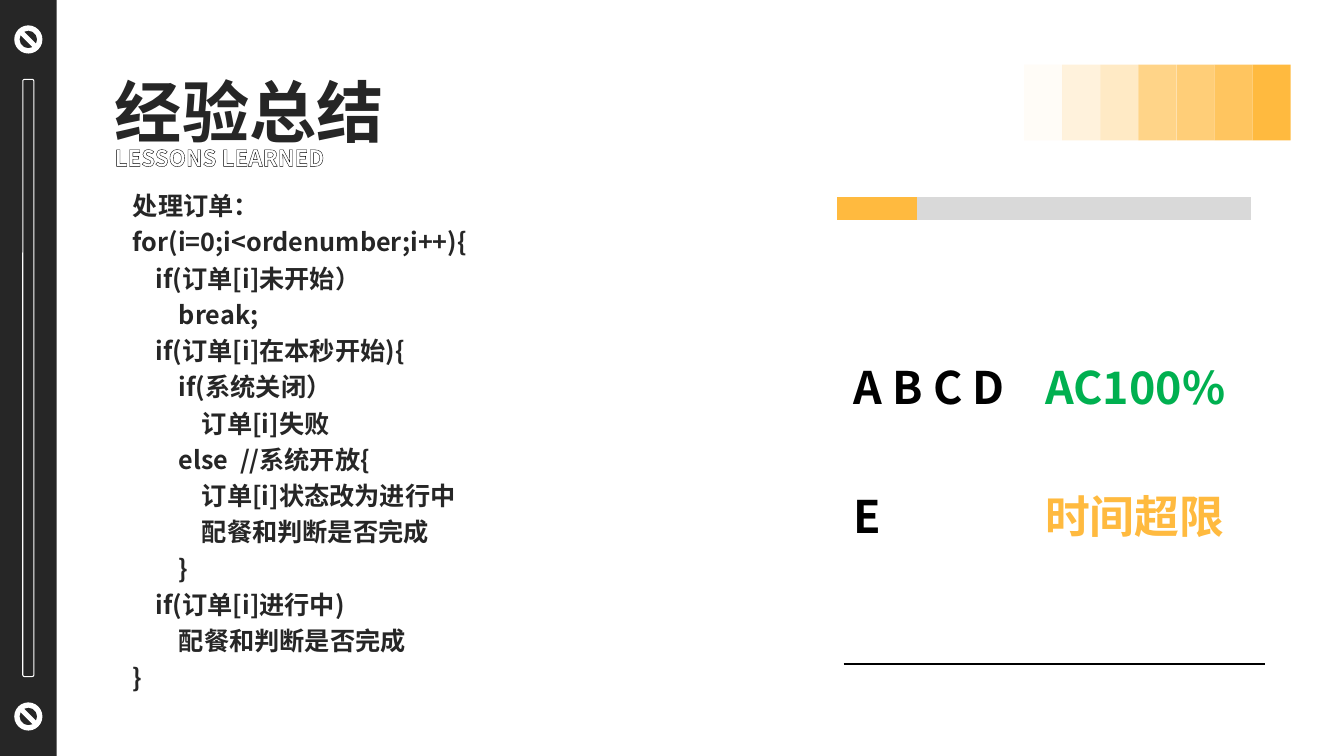
from dataclasses import dataclass

from lxml.etree import SubElement
from pptx import Presentation
from pptx.chart.data import CategoryChartData
from pptx.dml.color import RGBColor
from pptx.enum.chart import XL_CHART_TYPE as CT
from pptx.enum.shapes import MSO_CONNECTOR as CONN, MSO_SHAPE as SHAPE
from pptx.enum.text import MSO_ANCHOR as ANCHOR, MSO_AUTO_SIZE as AUTO, PP_ALIGN as ALIGN
from pptx.oxml import parse_xml
from pptx.oxml.ns import nsdecls, qn
from pptx.util import Cm, Pt


@dataclass(frozen=True)
class Theme:
    font: str = "Noto Sans CJK SC"
    dark: str = "262626"
    amber: str = "FFBA3F"
    green: str = "00B050"
    grey: str = "D9D9D9"
    white: str = "FFFFFF"
    black: str = "000000"
    title: int = 48
    result: int = 32
    code: int = 18
    subtitle: int = 16
    chart: int = 10
    spacing: float = 1.2


T = Theme()

# Indent level and text of each line of the pseudocode
CODE = [
    (0, "处理订单："),
    (0, "for(i=0;i<ordenumber;i++){"),
    (1, "if(订单[i]未开始）"),
    (2, "break;"),
    (1, "if(订单[i]在本秒开始){"),
    (2, "if(系统关闭）"),
    (3, "订单[i]失败"),
    (2, "else  //系统开放{"),
    (3, "订单[i]状态改为进行中"),
    (3, "配餐和判断是否完成"),
    (2, "}"),
    (1, "if(订单[i]进行中)"),
    (2, "配餐和判断是否完成"),
    (0, "}"),
]
RESULTS = [("A B C D", "AC100%", T.green), ("E", "时间超限", T.amber)]
FADE = [4, 18, 30, 62, 70, 83, 100]


def rgb(color):
    return RGBColor.from_string(color)


def add_run(p, text, size, color):
    r = p.add_run()
    r.text = text
    r.font.size, r.font.bold = Pt(size), True
    r.font.color.rgb = rgb(color)
    r.font.name = T.font
    SubElement(r.font._element, qn("a:ea"), typeface=T.font)
    return r


def set_frame(sp, wrap=True):
    tf = sp.text_frame
    tf.word_wrap, tf.auto_size = wrap, AUTO.NONE
    tf.vertical_anchor = ANCHOR.TOP
    return tf


def add_text_box(s, x, y, w, h):
    return set_frame(s.shapes.add_textbox(Cm(x), Cm(y), Cm(w), Cm(h)))


def paragraphs(tf, count):
    for i in range(count):
        p = tf.add_paragraph() if i else tf.paragraphs[0]
        p.line_spacing = T.spacing
        p.space_before = Pt(0)
        yield p


def add_shape(s, kind, x, y, w, h, fill=None, line=None):
    sp = s.shapes.add_shape(kind, Cm(x), Cm(y), Cm(w), Cm(h))
    sp.shadow.inherit = False
    if fill:
        sp.fill.solid()
        sp.fill.fore_color.rgb = rgb(fill)
    else:
        sp.fill.background()
    if line:
        sp.line.color.rgb, sp.line.width = rgb(line), Pt(0.75)
    else:
        sp.line.fill.background()
    return sp


def side_rail(s, x, y, w, h):
    add_shape(s, SHAPE.RECTANGLE, x, y, w, h, T.dark)
    icon, margin, slot = 0.71, 0.64, 0.28
    for top in (y + margin, y + h - margin - icon):
        add_shape(s, SHAPE.NO_SYMBOL, x + (w - icon) / 2, top, icon, icon, T.white)
    add_shape(s, SHAPE.ROUNDED_RECTANGLE, x + (w - slot) / 2, y + 2, slot, h - 4, line=T.white)


def fading_band(s, x, y, w, h):
    step = w / len(FADE)
    for i, opacity in enumerate(FADE):
        sp = add_shape(s, SHAPE.RECTANGLE, x + i * step, y, step, h, T.amber)
        color = sp._element.spPr.find(qn("a:solidFill"))[0]
        SubElement(color, qn("a:alpha"), val=str(opacity * 1000))


def heading(s, x, y, w, h):
    # Title
    title = s.shapes.title
    title.left, title.top, title.width, title.height = Cm(x), Cm(y), Cm(w), Cm(h)
    p = next(paragraphs(set_frame(title, wrap=False), 1))
    p.alignment = ALIGN.LEFT
    add_run(p, "经验总结", T.title, T.dark)
    # Outlined subtitle
    p = next(paragraphs(add_text_box(s, x, y + 2.13, w, 0.94), 1))
    p.alignment = ALIGN.JUSTIFY
    r = add_run(p, "LESSONS LEARNED", T.subtitle, T.white)
    r.font._element.insert(0, parse_xml(
        f'<a:ln {nsdecls("a")} w="9525"><a:solidFill><a:srgbClr val="{T.black}"/></a:solidFill></a:ln>'))


def pseudocode(s, x, y, w, h):
    tf = add_text_box(s, x, y, w, h)
    for p, (level, text) in zip(paragraphs(tf, len(CODE)), CODE):
        p._p.get_or_add_pPr().set("marL", str(Cm(0.58 * level)))
        add_run(p, text, T.code, T.dark)


def progress_chart(s, x, y, w, h):
    data = CategoryChartData()
    data.categories = ["1"]
    data.add_series("Series 1", [24])
    data.add_series("Series 2", [100])
    chart = s.shapes.add_chart(CT.BAR_STACKED, Cm(x), Cm(y), Cm(w), Cm(h), data).chart
    chart.has_legend = chart.has_title = False
    chart.font.name, chart.font.size = T.font, Pt(T.chart)
    chart.font.color.rgb = rgb(T.black)
    chart.value_axis.minimum_scale, chart.value_axis.maximum_scale = 0, 140
    chart.value_axis.has_major_gridlines = False
    chart.category_axis.visible = chart.value_axis.visible = False
    plot = chart.plots[0]
    plot.gap_width, plot.overlap, plot.vary_by_categories = 150, 100, False
    for series, color in zip(plot.series, (T.amber, T.grey)):
        series.format.fill.solid()
        series.format.fill.fore_color.rgb = rgb(color)
    # Fixed plot area
    area = chart._chartSpace.chart.plotArea
    for old in area.findall(qn("c:layout")):
        area.remove(old)
    parts = {"layoutTarget": "inner", "xMode": "edge", "yMode": "edge",
             "x": 0.04, "y": 0.17, "w": 0.96, "h": 0.65}
    layout = parse_xml(f'<c:layout {nsdecls("c")}><c:manualLayout/></c:layout>')
    for name, value in parts.items():
        SubElement(layout[0], qn(f"c:{name}"), val=str(value))
    area.insert(0, layout)


def results(s, x, y, w, h):
    tf = add_text_box(s, x, y, w, h)
    for p, (tests, verdict, color) in zip(paragraphs(tf, len(RESULTS)), RESULTS):
        p.space_after = Pt(46)
        p._p.get_or_add_pPr().append(parse_xml(
            f'<a:tabLst {nsdecls("a")}><a:tab pos="{Cm(4.83)}" algn="l"/></a:tabLst>'))
        add_run(p, tests + "\t", T.result, T.black)
        add_run(p, verdict, T.result, color)
    # Closing rule
    bottom = Cm(y + 8.08)
    line = s.shapes.add_connector(CONN.STRAIGHT, Cm(x), bottom, Cm(x + 10.62), bottom)
    line.line.color.rgb, line.line.width = rgb(T.black), Pt(1.5)
    SubElement(line._element.spPr, qn("a:effectLst"))


def main():
    prs = Presentation()
    prs.slide_width, prs.slide_height = Cm(33.87), Cm(19.05)
    s = prs.slides.add_slide(prs.slide_layouts[5])
    fading_band(s, 25.81, 1.63, 6.72, 1.91)
    side_rail(s, 0, 0, 1.43, 19.05)
    progress_chart(s, 20.6, 4.11, 12.27, 2.31)
    results(s, 21.26, 8.66, 10.95, 5.03)
    pseudocode(s, 3.1, 4.52, 9.55, 13.11)
    heading(s, 2.64, 1.24, 7.29, 2.31)
    prs.save("out.pptx")


if __name__ == "__main__":
    main()
